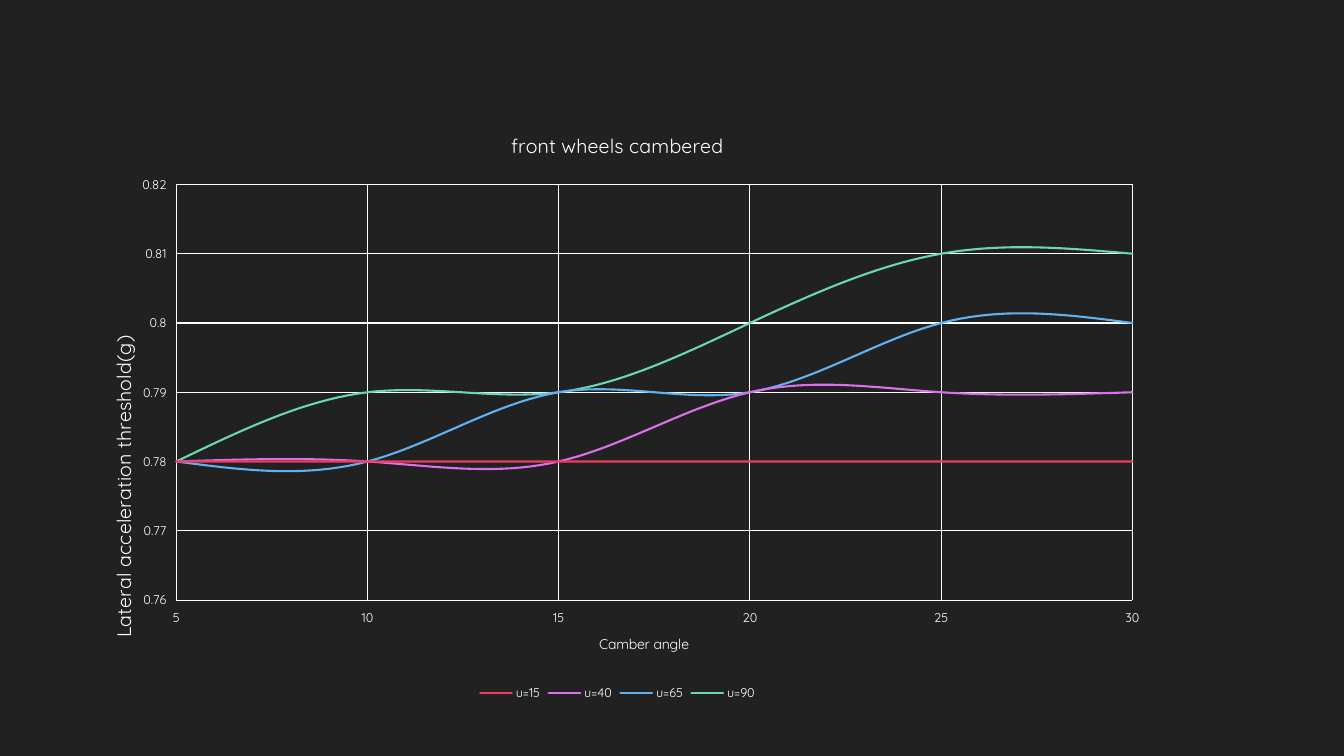
import pptx
import pptx.chart.data
import pptx.dml.color
import pptx.enum.chart
import pptx.oxml
import pptx.oxml.ns
import pptx.util

Pt = pptx.util.Pt
RGBColor = pptx.dml.color.RGBColor
qn = pptx.oxml.ns.qn
FONT = "Quicksand"
DARK = RGBColor(0x21, 0x21, 0x21)
WHITE = RGBColor(0xFF, 0xFF, 0xFF)
RED = RGBColor(0xF0, 0x3B, 0x5E)
PURPLE = RGBColor(0xDC, 0x6F, 0xEC)
BLUE = RGBColor(0x60, 0xB1, 0xF2)
GREEN = RGBColor(0x6A, 0xD5, 0xBB)

CHART_WIDTH, CHART_HEIGHT = Pt(776.9), Pt(424.1)
ANGLES = [5, 10, 15, 20, 25, 30]
THRESHOLDS = [
    ("u=15", RED, [0.78, 0.78, 0.78, 0.78, 0.78, 0.78]),
    ("u=40", PURPLE, [0.78, 0.78, 0.78, 0.79, 0.79, 0.79]),
    ("u=65", BLUE, [0.78, 0.78, 0.79, 0.79, 0.8, 0.8]),
    ("u=90", GREEN, [0.78, 0.79, 0.79, 0.8, 0.81, 0.81]),
]


def set_font(font, size):
    font.name = FONT
    font.size = Pt(size)
    font.bold = False
    font.color.rgb = WHITE


def place(element, index, **lengths):
    """Fix the position of a chart part, measured from the chart's corner."""
    for old in element.findall(qn("c:layout")):
        element.remove(old)
    modes = '<c:layoutTarget val="inner"/>' if "w" in lengths else ""
    modes += '<c:xMode val="edge"/><c:yMode val="edge"/>'
    values = "".join(
        f'<c:{k} val="{v / (CHART_WIDTH if k in "xw" else CHART_HEIGHT)}"/>'
        for k, v in lengths.items())
    element.insert(index, pptx.oxml.parse_xml(
        f'<c:layout {pptx.oxml.ns.nsdecls("c")}><c:manualLayout>'
        f'{modes}{values}</c:manualLayout></c:layout>'))


# Slide
prs = pptx.Presentation()
prs.slide_width, prs.slide_height = Pt(960), Pt(540)
s = prs.slides.add_slide(prs.slide_layouts[6])
s.background.fill.solid()
s.background.fill.fore_color.rgb = DARK

# Chart
data = pptx.chart.data.XyChartData()
for name, color, values in THRESHOLDS:
    series = data.add_series(name)
    for angle, value in zip(ANGLES, values):
        series.add_data_point(angle, value)
chart = s.shapes.add_chart(
    pptx.enum.chart.XL_CHART_TYPE.XY_SCATTER_SMOOTH_NO_MARKERS,
    Pt(52.6), Pt(79.2), CHART_WIDTH, CHART_HEIGHT, data).chart
set_font(chart.font, 10)
plot = chart.plots[0]
place(plot._element.getparent(), 0,
      x=Pt(73.4), y=Pt(52.6), w=Pt(682.9), h=Pt(296.9))

# Curves: smooth, with round line ends
plot.vary_by_categories = False
for series, (name, color, values) in zip(plot.series, THRESHOLDS):
    series.marker.style = pptx.enum.chart.XL_MARKER_STYLE.NONE
    series.format.line.color.rgb = color
    series.format.line.width = Pt(1.5)
    series._element.find(qn("c:spPr")).find(qn("a:ln")).set("cap", "rnd")
    series._element.find(qn("c:smooth")).set("val", "1")

# Axes
x_axis, y_axis = chart.category_axis, chart.value_axis
for axis, low, high, step in ((x_axis, 5, 30, 5), (y_axis, 0.76, 0.82, 0.01)):
    axis.minimum_scale, axis.maximum_scale, axis.major_unit = low, high, step
    axis.major_tick_mark = axis.minor_tick_mark = pptx.enum.chart.XL_TICK_MARK.NONE
    axis.tick_label_position = pptx.enum.chart.XL_TICK_LABEL_POSITION.LOW
    axis.has_major_gridlines = True
    for line in (axis.format.line, axis.major_gridlines.format.line):
        line.color.rgb = WHITE
        line.width = Pt(0.75)
    axis.tick_labels.number_format = "General"
    axis.tick_labels.number_format_is_linked = False
    set_font(axis.tick_labels.font, 9)
y_axis.crosses_at = 0.8

# Titles
for owner, text, size, x, y in (
        (chart, "front wheels cambered", 14, 310, 11.8),
        (x_axis, "Camber angle", 10, 373.6, 372),
        (y_axis, "Lateral acceleration threshold(g)", 14, 22.6, 157.8)):
    title = owner.chart_title if owner is chart else owner.axis_title
    title.text_frame.text = text
    set_font(title.text_frame.paragraphs[0].font, size)
    place(title._element, 1, x=Pt(x), y=Pt(y))
body = y_axis.axis_title._element.find(".//" + qn("a:bodyPr"))
body.set("rot", "-5400000")
body.set("vert", "horz")

# Legend
chart.has_legend = True
chart.legend.position = pptx.enum.chart.XL_LEGEND_POSITION.BOTTOM
chart.legend.include_in_layout = False
set_font(chart.legend.font, 9)

prs.save("out.pptx")
